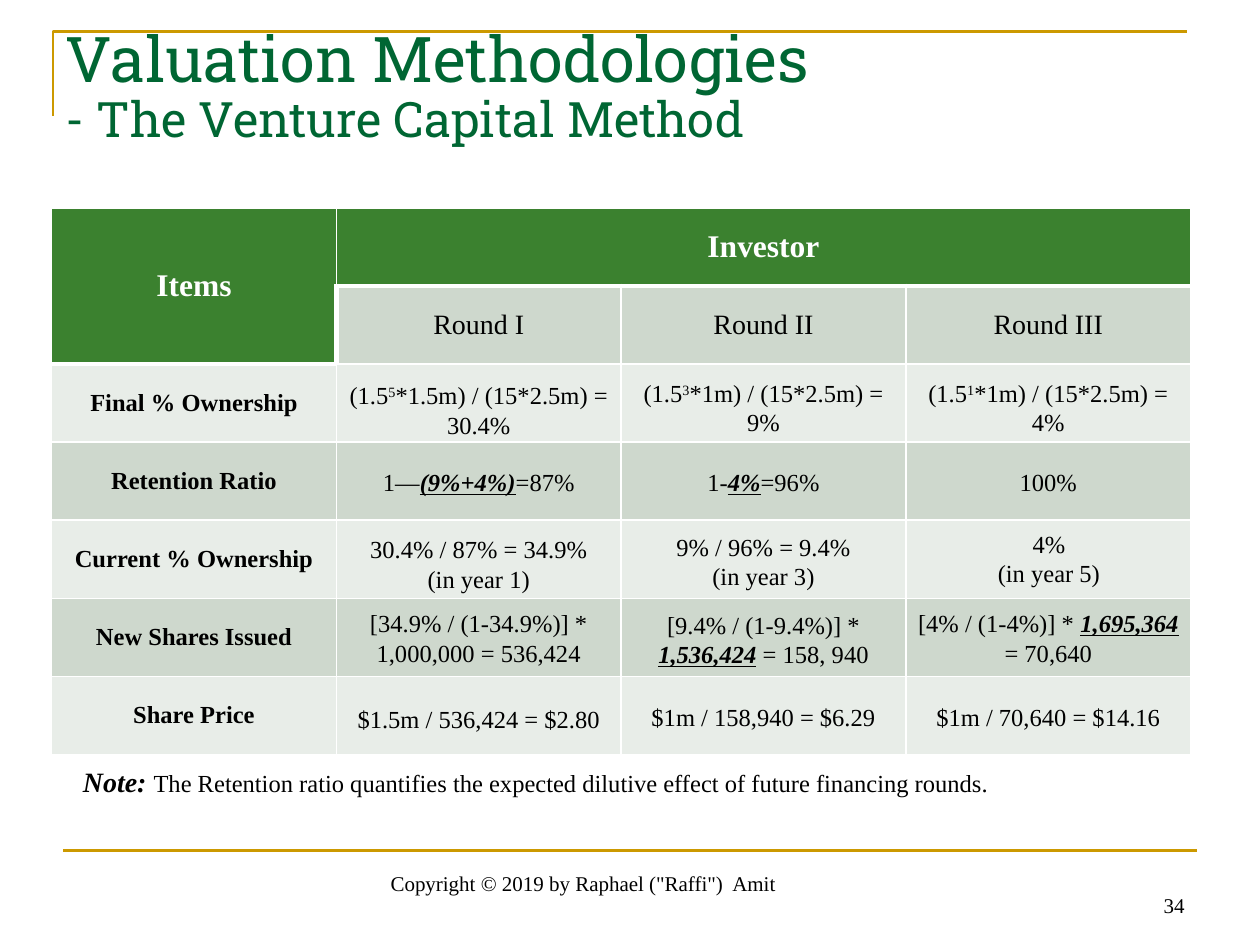
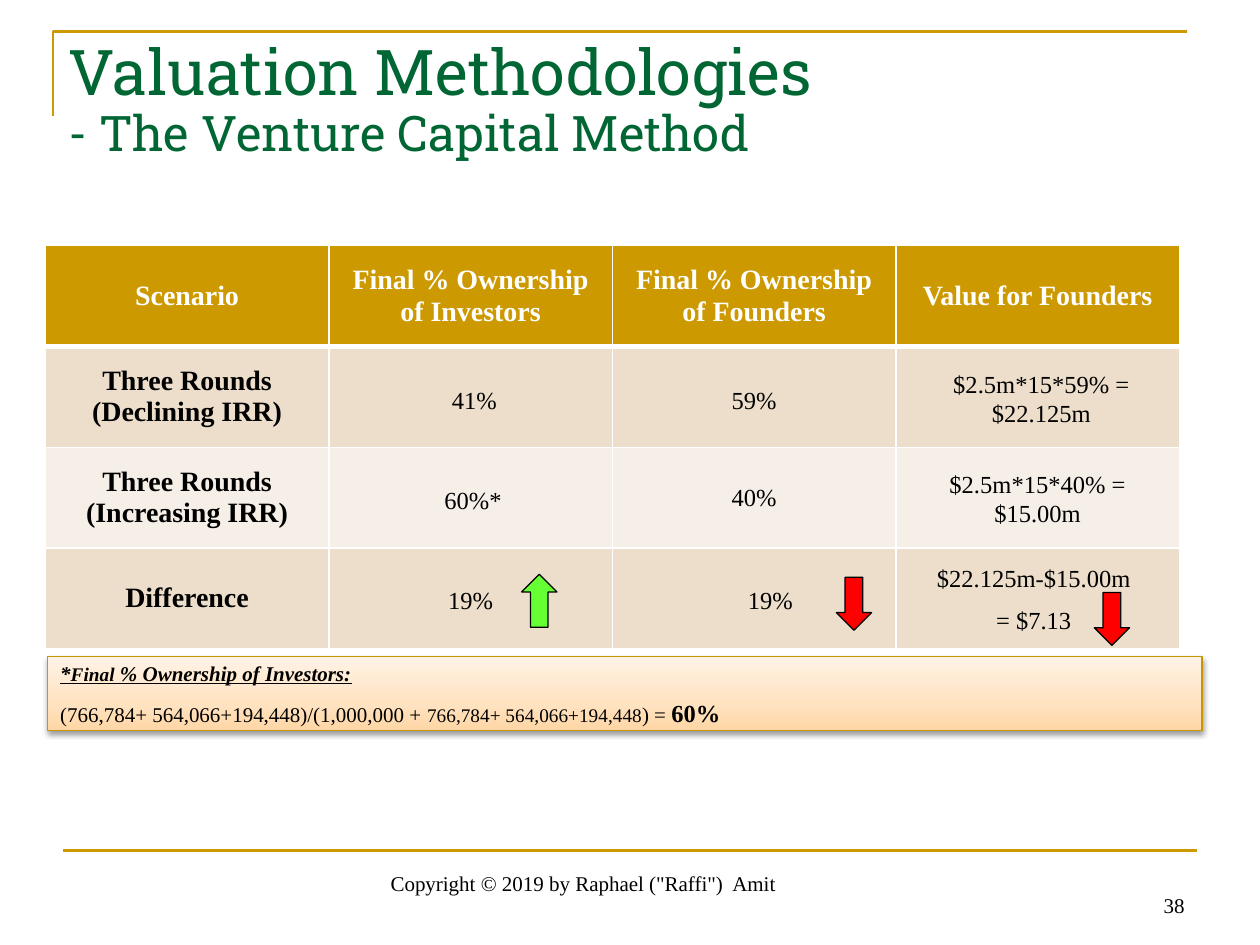
from copy import deepcopy
from dataclasses import dataclass

from lxml import etree
from pptx import Presentation
from pptx.dml.color import RGBColor
from pptx.enum.shapes import MSO_CONNECTOR, MSO_SHAPE
from pptx.enum.text import MSO_ANCHOR, MSO_AUTO_SIZE, PP_ALIGN
from pptx.oxml.ns import qn
from pptx.util import Inches, Pt

LEFT, CENTER, RIGHT = PP_ALIGN.LEFT, PP_ALIGN.CENTER, PP_ALIGN.RIGHT
TOP, MIDDLE, BOTTOM = MSO_ANCHOR.TOP, MSO_ANCHOR.MIDDLE, MSO_ANCHOR.BOTTOM
STRAIGHT, NO_AUTOFIT = MSO_CONNECTOR.STRAIGHT, MSO_AUTO_SIZE.NONE
RECTANGLE, UP, DOWN = MSO_SHAPE.RECTANGLE, MSO_SHAPE.UP_ARROW, MSO_SHAPE.DOWN_ARROW

BLACK, WHITE = RGBColor(0, 0, 0), RGBColor(255, 255, 255)
GOLD, GOLD_EDGE = RGBColor(0xCC, 0x99, 0x00), RGBColor(0xC8, 0x96, 0x00)
TITLE_GREEN, HEADER_GREEN = RGBColor(0x00, 0x66, 0x33), RGBColor(0x3B, 0x81, 0x2F)
GREEN_BANDS = RGBColor(0xCE, 0xD8, 0xCD), RGBColor(0xE8, 0xED, 0xE8)
SAND_BANDS = RGBColor(0xEC, 0xDE, 0xCB), RGBColor(0xF6, 0xEF, 0xE7)
RISE, FALL = RGBColor(0x66, 0xFF, 0x33), RGBColor(0xFF, 0, 0)
NOTE_GRADIENT = ((0, RGBColor(0xFF, 0xD6, 0xA5)), (0.35, RGBColor(0xFF, 0xE2, 0xBF)),
                 (1, RGBColor(0xFF, 0xF3, 0xE7)))

BODY_FONT, TITLE_FONT = "Times New Roman", "Roboto Slab"
THIN, THICK = Pt(1), Pt(3)
LINE_HEIGHT, BOX_MARGINS = 0.23, 0.11
KEY_FIGURE = {"bold": True, "italic": True, "underline": True}
POWER = {"baseline": 30}


@dataclass
class Grid:
    """Equal columns and rows, in inches; positions may be fractions of a cell."""
    left: float
    top: float
    column_width: float
    row_height: float
    columns: int
    rows: int

    def x(self, column):
        return self.left + column * self.column_width

    def y(self, row):
        return self.top + row * self.row_height


@dataclass
class Value:
    """Text centred on a column; drop is its distance below the top of the row."""
    column: int
    row: int
    drop: float
    width: float
    paragraphs: list
    lines: int = 1
    shift: float = 0


def inches(*lengths):
    return [Inches(length) for length in lengths]


def write(frame, paragraphs, align=LEFT, anchor=TOP, space_before=0, wrap=True, **base):
    """Fill a frame; a paragraph is a string or a list of strings and (text, format) spans."""
    frame.word_wrap = wrap
    frame.vertical_anchor = anchor
    for index, spans in enumerate(paragraphs):
        para = frame.paragraphs[0] if index == 0 else frame.add_paragraph()
        para.alignment = align
        if index and space_before:
            para.space_before = Pt(space_before)
        for span in [spans] if isinstance(spans, str) else spans:
            text, changes = (span, {}) if isinstance(span, str) else span
            add_span(para, text, **{**base, **changes})


def add_span(para, text, size=14, color=BLACK, font=BODY_FONT, bold=False,
             italic=False, underline=False, baseline=0):
    run = para.add_run()
    run.text = text
    run.font.size, run.font.name = Pt(size), font
    run.font.bold, run.font.italic, run.font.underline = bold, italic, underline
    run.font.color.rgb = color
    if baseline:
        run.font._element.set("baseline", str(baseline * 1000))


def add_text(slide, left, top, width, height, paragraphs, **style):
    box = slide.shapes.add_textbox(*inches(left, top, width, height))
    write(box.text_frame, paragraphs, **style)


def add_frame_lines(slide):
    """Draw the corner bracket above the title and the rule above the footer."""
    builder = slide.shapes.build_freeform(*inches(0.42, 0.92))
    builder.add_line_segments([inches(0.42, 0.25), inches(9.42, 0.25)], close=False)
    bracket = builder.convert_to_shape()
    bracket.fill.background()
    bracket.shadow.inherit = False
    rule = slide.shapes.add_connector(STRAIGHT, *inches(0.5, 6.75, 9.5, 6.75))
    etree.SubElement(rule._element.spPr, qn("a:effectLst"))
    for outline in (bracket.line, rule.line):
        outline.color.rgb = GOLD
        outline.width = Pt(1.5)


def add_page(deck, number, title_place, subtitle_size):
    """Add a slide with the shared title, lines and footer."""
    slide = deck.slides.add_slide(deck.slide_layouts[5])
    add_frame_lines(slide)
    title = slide.shapes.title
    title.left, title.top, title.width, title.height = inches(*title_place)
    frame = title.text_frame
    frame.auto_size = NO_AUTOFIT
    style = {"font": TITLE_FONT, "color": TITLE_GREEN}
    write(frame, ["Valuation Methodologies"], size=36, **style)
    para = frame.paragraphs[0]
    para.line_spacing = 0.9
    para.add_line_break()
    add_span(para, "- The Venture Capital Method", size=subtitle_size, **style)
    add_text(slide, 2.51, 6.8, 4.24, 0.36, ['Copyright © 2019 by Raphael ("Raffi")  Amit'],
             size=12, align=CENTER, anchor=BOTTOM)
    add_text(slide, 7.17, 6.83, 2.33, 0.5, [str(number)], size=12, align=RIGHT, anchor=BOTTOM)
    return slide


def paint_cell(cell, color, **thick_sides):
    """Fill a cell and give it white edges; sides named L, R, T or B are thick."""
    properties = cell._tc.get_or_add_tcPr()
    for side in "LRTB":
        width = THICK if side in thick_sides else THIN
        edge = etree.SubElement(properties, qn(f"a:ln{side}"), w=str(int(width)))
        fill = etree.SubElement(edge, qn("a:solidFill"))
        etree.SubElement(fill, qn("a:srgbClr"), val=str(WHITE))
    cell.fill.solid()
    cell.fill.fore_color.rgb = color


def add_grid_table(slide, grid, header_color, bands, header_cells=()):
    """Add a table with a header row, banded rows and extra header cells."""
    place = inches(grid.left, grid.top, grid.columns * grid.column_width,
                   grid.rows * grid.row_height)
    table = slide.shapes.add_table(grid.rows, grid.columns, *place).table
    table.first_row = table.horz_banding = False
    headers = {(0, column) for column in range(grid.columns)} | set(header_cells)
    for row in range(grid.rows):
        for column in range(grid.columns):
            is_header = (row, column) in headers
            thick = {}
            if is_header and (row + 1, column) not in headers:
                thick["B"] = True
            if not is_header and (row - 1, column) in headers:
                thick["T"] = True
            if not is_header and (row, column - 1) in headers:
                thick["L"] = True
            color = header_color if is_header else bands[(row + 1) % 2]
            paint_cell(table.cell(row, column), color, **thick)
    return table


def label(cell, *paragraphs, **style):
    write(cell.text_frame, paragraphs, align=CENTER, **style)
    cell.vertical_anchor = MIDDLE


def add_values(slide, grid, values):
    for value in values:
        left = grid.x(value.column + 0.5) + value.shift - value.width / 2
        add_text(slide, left, grid.y(value.row) + value.drop, value.width,
                 value.lines * LINE_HEIGHT + BOX_MARGINS, value.paragraphs,
                 align=CENTER, space_before=7)


def add_arrow(slide, grid, kind, column, row, color):
    arrow = slide.shapes.add_shape(kind, *inches(grid.x(column), grid.y(row), 0.28, 0.42))
    arrow.shadow.inherit = False
    arrow.fill.solid()
    arrow.fill.fore_color.rgb = color
    arrow.line.color.rgb = BLACK
    arrow.line.width = Pt(0.75)


def add_gradient_note(slide, place, paragraphs):
    note = slide.shapes.add_shape(RECTANGLE, *inches(*place))
    note.fill.gradient()
    note.fill.gradient_angle = 90
    properties = note._element.spPr
    stops = properties.find(qn("a:gradFill")).find(qn("a:gsLst"))
    stops.append(deepcopy(stops[-1]))
    for stop, (position, color) in zip(note.fill.gradient_stops, NOTE_GRADIENT):
        stop.position = position
        stop.color.rgb = color
    note.line.color.rgb = GOLD_EDGE
    note.line.width = Pt(0.75)
    note.shadow.inherit = False
    shadow = etree.SubElement(properties.find(qn("a:effectLst")), qn("a:outerShdw"),
                              blurRad="40000", dist="20000", dir="5400000", rotWithShape="0")
    shade = etree.SubElement(shadow, qn("a:srgbClr"), val=str(BLACK))
    etree.SubElement(shade, qn("a:alpha"), val="38000")
    write(note.text_frame, paragraphs, anchor=MIDDLE, wrap=False, space_before=7, size=12)


def add_rounds_page(deck):
    slide = add_page(deck, 34, (0.42, 0.17, 9, 0.82), 27.9)
    grid = Grid(0.41, 1.65, 2.26, 0.62, 4, 7)
    table = add_grid_table(slide, grid, HEADER_GREEN, GREEN_BANDS, [(1, 0)])
    table.cell(0, 0).merge(table.cell(1, 0))
    table.cell(0, 1).merge(table.cell(0, 3))
    for column, text in enumerate(("Items", "Investor")):
        label(table.cell(0, column), text, size=18, color=WHITE, bold=True)
    for column, text in enumerate(("Round I", "Round II", "Round III"), 1):
        label(table.cell(1, column), text, size=16)
    items = ("Final % Ownership", "Retention Ratio", "Current % Ownership",
             "New Shares Issued", "Share Price")
    for row, text in enumerate(items, 2):
        label(table.cell(row, 0), text, bold=True)

    add_values(slide, grid, [
        Value(1, 2, 0.08, 2.33, [["(1.5", ("5", POWER), "*1.5m) / (15*2.5m) = 30.4%"]], 2),
        Value(2, 2, 0.06, 2.17, [["(1.5", ("3", POWER), "*1m) / (15*2.5m) = 9%"]], 2),
        Value(3, 2, 0.06, 2.22, [["(1.5", ("1", POWER), "*1m) / (15*2.5m) = 4%"]], 2),
        Value(1, 3, 0.15, 2.33, [["1—", ("(9%+4%)", KEY_FIGURE), "=87%"]]),
        Value(2, 3, 0.15, 2.33, [["1-", ("4%", KEY_FIGURE), "=96%"]]),
        Value(3, 3, 0.15, 2.33, ["100%"]),
        Value(1, 4, 0.06, 2, ["30.4% / 87% = 34.9% (in year 1)"], 2),
        Value(2, 4, 0.04, 1.83, ["9% / 96% = 9.4% (in year 3)"], 2),
    ])
    add_text(slide, 7.48, 4.15, 1.69, 0.57, ["4%", "(in year 5)"], align=CENTER)
    add_values(slide, grid, [
        Value(1, 5, 0.03, 2.33, ["[34.9% / (1-34.9%)] * 1,000,000 = 536,424"], 2),
        Value(2, 5, 0.04, 2.27,
              [["[9.4% / (1-9.4%)] * ", ("1,536,424", KEY_FIGURE), " = 158, 940"]], 2),
        Value(3, 5, 0.03, 2.28,
              [["[4% / (1-4%)] * ", ("1,695,364", KEY_FIGURE), " = 70,640"]], 2),
        Value(1, 6, 0.17, 2.33, ["$1.5m / 536,424 = $2.80"]),
        Value(2, 6, 0.15, 2.33, ["$1m / 158,940 = $6.29"]),
        Value(3, 6, 0.15, 2.33, ["$1m / 70,640 = $14.16"]),
    ])
    add_text(slide, 0.56, 6.02, 8.82, 0.37, [[
        ("Note: ", {"size": 16, "bold": True, "italic": True}),
        "The Retention ratio quantifies the expected dilutive effect of future financing rounds."]])


def add_scenarios_page(deck):
    slide = add_page(deck, 38, (0.44, 0.28, 9, 1.29), 28)
    grid = Grid(0.36, 1.95, 2.25, 0.8, 4, 4)
    table = add_grid_table(slide, grid, GOLD, SAND_BANDS)
    headings = ("Scenario", "Final % Ownership of Investors",
                "Final % Ownership of Founders", "Value for Founders")
    for column, text in enumerate(headings):
        label(table.cell(0, column), text, size=16, color=WHITE, bold=True)
    scenarios = (["Three Rounds (Declining IRR)"], ["Three Rounds", "(Increasing IRR)"],
                 ["Difference"])
    for row, lines in enumerate(scenarios, 1):
        label(table.cell(row, 0), *lines, size=16, bold=True)

    add_values(slide, grid, [
        Value(1, 1, 0.26, 2.27, ["41%"], shift=0.03),
        Value(2, 1, 0.26, 2.27, ["59%"]),
        Value(3, 1, 0.13, 2.27, ["$2.5m*15*59% = $22.125m"], 2, 0.03),
        Value(1, 2, 0.25, 2.27, ["60%*"], shift=0.02),
        Value(2, 2, 0.23, 2.27, ["40%"]),
        Value(3, 2, 0.12, 2.27, ["$2.5m*15*40% = $15.00m"], 2),
        Value(1, 3, 0.24, 2.24, ["19%"]),
        Value(2, 3, 0.24, 1.01, ["19%"], shift=0.13),
        Value(3, 3, 0.07, 2.27, ["$22.125m-$15.00m", "= $7.13"], 2.5, -0.03),
    ])
    for kind, column, row, color in ((UP, 1.68, 3.26, RISE), (DOWN, 2.79, 3.29, FALL),
                                     (DOWN, 3.7, 3.44, FALL)):
        add_arrow(slide, grid, kind, column, row, color)
    add_gradient_note(slide, (0.38, 5.21, 9.16, 0.59), [
        [("*", KEY_FIGURE), ("Final", {**KEY_FIGURE, "size": 11}),
         (" % Ownership of Investors:", KEY_FIGURE)],
        ["(766,784+ 564,066+194,448)/(1,000,000 + ",
         ("766,784+ 564,066+194,448", {"size": 11}), ") = ",
         ("60%", {"size": 14, "bold": True})],
    ])


def main():
    deck = Presentation()
    deck.slide_width, deck.slide_height = inches(10, 7.5)
    add_rounds_page(deck)
    add_scenarios_page(deck)
    deck.save("out.pptx")


if __name__ == "__main__":
    main()
